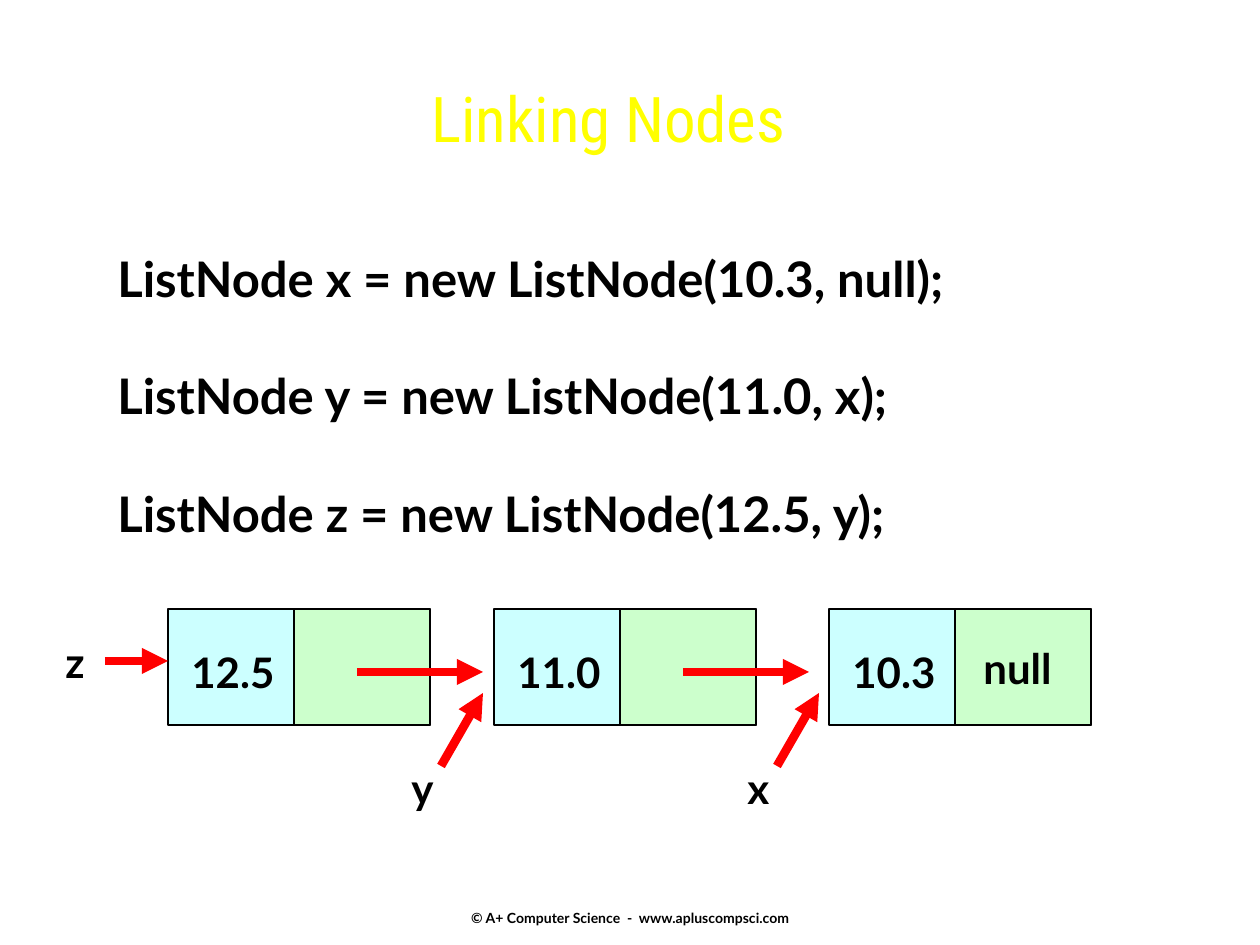
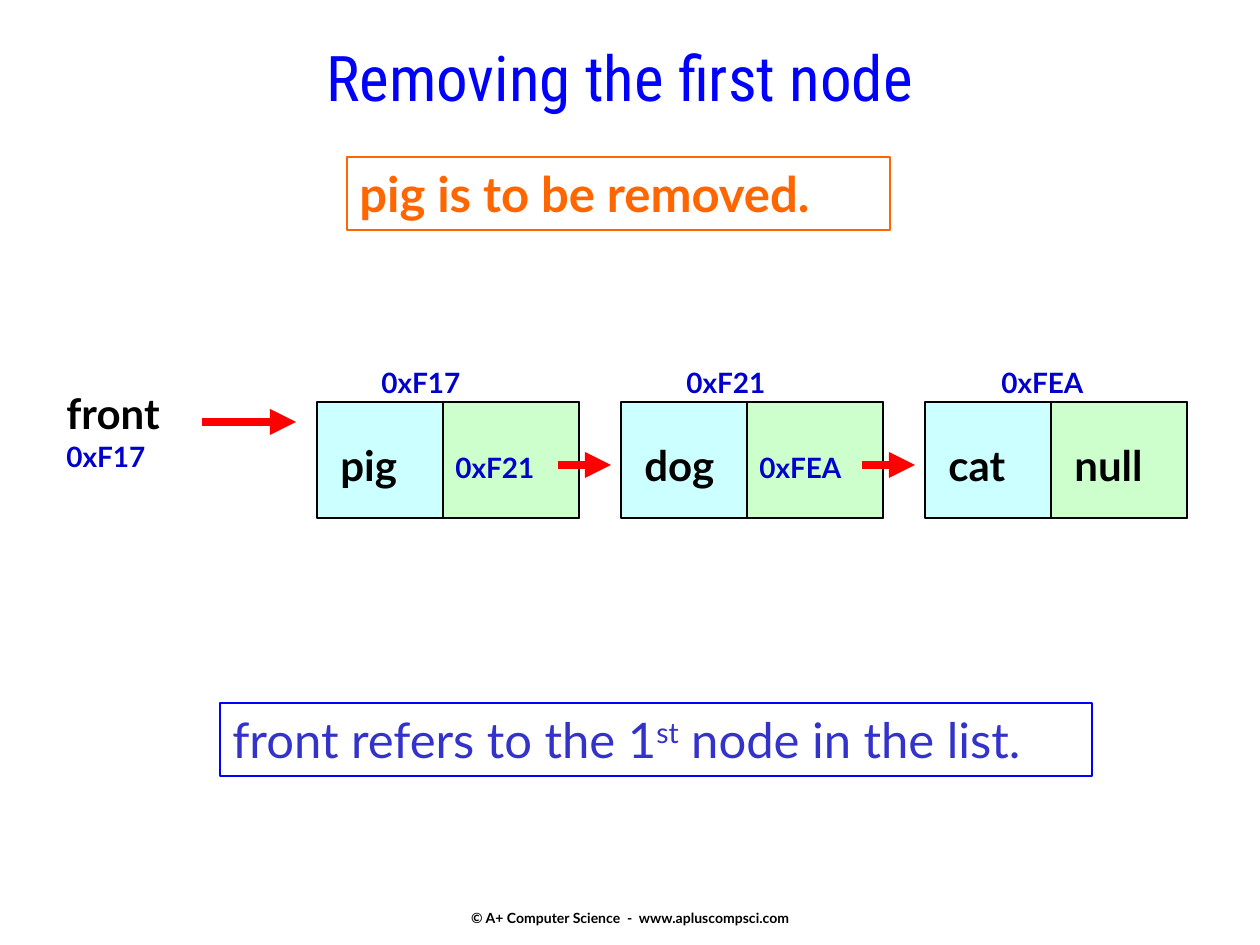
from dataclasses import dataclass

from lxml import etree
from pptx import Presentation
from pptx.dml.color import RGBColor
from pptx.enum.shapes import MSO_CONNECTOR, MSO_SHAPE
from pptx.enum.text import MSO_ANCHOR, PP_ALIGN
from pptx.oxml.ns import qn
from pptx.util import Emu, Pt

RECTANGLE = MSO_SHAPE.RECTANGLE
STRAIGHT = MSO_CONNECTOR.STRAIGHT
LEFT, CENTER = PP_ALIGN.LEFT, PP_ALIGN.CENTER
TOP, MIDDLE = MSO_ANCHOR.TOP, MSO_ANCHOR.MIDDLE
PX = 914400 / 126


@dataclass(frozen=True)
class Theme:
    body_font: str = "Lato"
    title_font: str = "Roboto Condensed"
    ink: str = "000000"
    blue: str = "0000FF"
    yellow: str = "FFFF00"
    orange: str = "FF6600"
    indigo: str = "3333CC"
    address: str = "0000CC"
    arrow: str = "FF0000"
    value_fill: str = "CCFFFF"
    link_fill: str = "CCFFCC"
    title_size: int = 36
    statement_size: int = 28
    label_size: int = 24
    address_size: int = 16
    footer_size: int = 8


theme = Theme()


def add_text(slide, text, box, size=theme.label_size, color=theme.ink, bold=True,
             font=theme.body_font, align=LEFT, anchor=TOP, gap=0, border=None):
    holder = slide.shapes.add_textbox(*(Emu(round(v * PX)) for v in box))
    if border:
        holder.line.color.rgb = RGBColor.from_string(border)
        holder.line.width = Pt(1)
    frame = holder.text_frame
    frame.word_wrap = True
    frame.vertical_anchor = anchor
    for row, line in enumerate(text.split("\n")):
        paragraph = frame.paragraphs[0] if row == 0 else frame.add_paragraph()
        paragraph.alignment = align
        if row:
            paragraph.space_before = Pt(gap)
        for part, piece in enumerate(line.split("^")):
            run = paragraph.add_run()
            run.text = piece
            run.font.name, run.font.size, run.font.bold = font, Pt(size), bold
            run.font.color.rgb = RGBColor.from_string(color)
            if part % 2:
                run.font._element.set("baseline", "30000")


def add_arrow(slide, *ends):
    arrow = slide.shapes.add_connector(STRAIGHT, *(Emu(round(v * PX)) for v in ends))
    arrow.line.color.rgb = RGBColor.from_string(theme.arrow)
    arrow.line.width = Pt(5)
    properties = arrow._element.spPr
    etree.SubElement(arrow.line._get_or_add_ln(), qn("a:tailEnd"), type="triangle")
    etree.SubElement(properties, qn("a:effectLst"))


prs = Presentation()
prs.slide_width, prs.slide_height = Emu(round(1260 * PX)), Emu(round(945 * PX))
linking, removing = [prs.slides.add_slide(prs.slide_layouts[6]) for _ in range(2)]

titles = [
    (linking, "Linking Nodes", (115, 73, 987, 116), theme.yellow),
    (removing, "Removing the first node", (220, 32, 800, 73), theme.blue),
]
for slide, title, box, color in titles:
    add_text(slide, title, box, size=theme.title_size, color=color, bold=False,
             font=theme.title_font, align=CENTER)
    add_text(slide, "© A+ Computer Science  -  www.apluscompsci.com", (431, 902, 399, 32),
             size=theme.footer_size, align=CENTER, anchor=MIDDLE)

NODE_WIDTH, NODE_HEIGHT, LINK_OFFSET = 262, 116, 126
linked_lists = [
    (linking, 609, [(168, "12.5"), (494, "11.0"), (829, "10.3")], 189, 126),
    (removing, 402, [(317 + 304 * i, name) for i, name in enumerate(["pig", "dog", "cat"])], 241, 53),
]
for slide, top, nodes, arrow_offset, arrow_length in linked_lists:
    for left, value in nodes:
        for offset, fill in [(0, theme.value_fill), (LINK_OFFSET, theme.link_fill)]:
            cell = slide.shapes.add_shape(RECTANGLE, *(Emu(round(v * PX)) for v in (
                left + offset, top, NODE_WIDTH - offset, NODE_HEIGHT)))
            cell.shadow.inherit = False
            cell.fill.solid()
            cell.fill.fore_color.rgb = RGBColor.from_string(fill)
            cell.line.color.rgb = RGBColor.from_string(theme.ink)
            cell.line.width = Pt(1)
        add_text(slide, value, (left + 11, top + 31, LINK_OFFSET, 63))
    for left, value in nodes[:-1]:
        start = left + arrow_offset
        add_arrow(slide, start, top + 63, start + arrow_length, top + 63)

add_text(linking, "ListNode x = new ListNode(10.3, null);\n"
         "ListNode y = new ListNode(11.0, x);\n"
         "ListNode z = new ListNode(12.5, y);",
         (105, 242, 983, 307), size=theme.statement_size, gap=33.6)
add_text(linking, "null", (971, 636, 136, 63))
add_text(linking, "z", (53, 630, 116, 63))
add_arrow(linking, 105, 661, 168, 661)
for name, left in [("y", 399), ("x", 735)]:
    add_text(linking, name, (left, 756, 200, 63))
    add_arrow(linking, left + 42, 766, left + 84, 693)

add_text(removing, "pig is to be removed.", (347, 157, 543, 73),
         size=theme.statement_size, color=theme.orange, border=theme.orange)
add_text(removing, "front refers to the 1^st^ node in the list.", (220, 703, 872, 73),
         size=theme.statement_size, color=theme.indigo, bold=False, border=theme.blue)
add_text(removing, "null", (1062, 433, 136, 63))
add_text(removing, "front", (54, 381, 147, 63))
add_arrow(removing, 202, 422, 296, 422)
addresses = [
    ("0xF17", 54, 433),
    ("0xF17", 369, 359), ("0xF21", 674, 359), ("0xFEA", 989, 359),
    ("0xF21", 443, 444), ("0xFEA", 747, 444),
]
for address, left, top in addresses:
    add_text(removing, address, (left, top, 136, 47), size=theme.address_size, color=theme.address)

prs.save("out.pptx")
